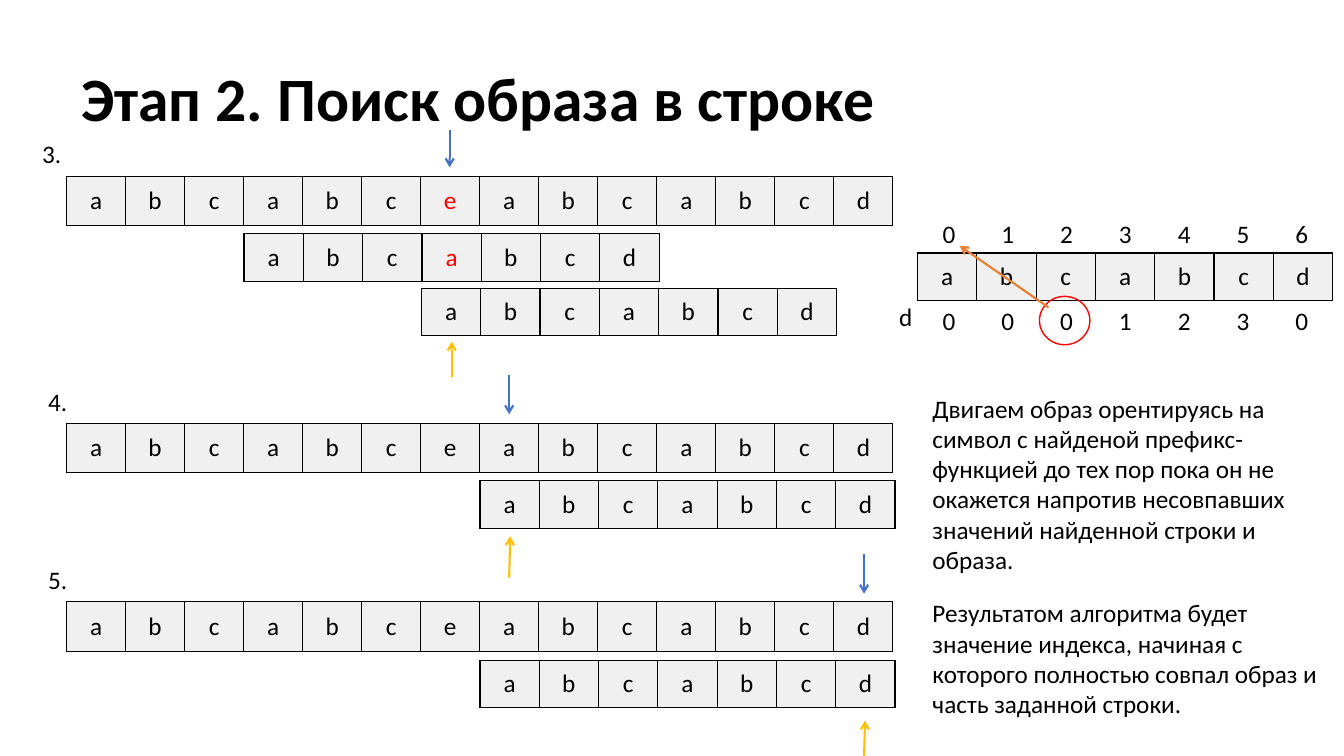
from pptx import Presentation
from pptx.dml.color import RGBColor
from pptx.enum.shapes import MSO_CONNECTOR, MSO_SHAPE
from pptx.enum.text import MSO_ANCHOR, PP_ALIGN
from pptx.oxml.ns import qn
from pptx.util import Inches, Pt
from lxml import etree

LINE, OVAL = MSO_CONNECTOR.STRAIGHT, MSO_SHAPE.OVAL
TOP, MIDDLE = MSO_ANCHOR.TOP, MSO_ANCHOR.MIDDLE
CENTER = PP_ALIGN.CENTER

COLORS = {"text": "000000", "cell": "F0F0F0", "red": "FF0000",
          "blue": "4472C4", "yellow": "FFC000", "orange": "ED7D31"}
PATTERN = "abcabcd"
STRING = "abcabceabcabcd"
PREFIX = "0001230"


def rgb(name):
    return RGBColor.from_string(COLORS[name])


class SlideBuilder:
    """Draws styled elements on one slide."""

    def __init__(self, slide):
        self.shapes = slide.shapes
        self.font = {"name": "Calibri", "size": Pt(18), "bold": False}

    def add_run(self, p, text, color="text", **changes):
        r = p.add_run()
        r.text = text
        for name, value in {**self.font, **changes}.items():
            setattr(r.font, name, value)
        r.font.color.rgb = rgb(color)

    def text(self, text, x, y, w, h=0.4, wrap=False, anchor=TOP, spacing=1.0, **font):
        tf = self.shapes.add_textbox(*map(Inches, (x, y, w, h))).text_frame
        tf.word_wrap = wrap
        tf.vertical_anchor = anchor
        tf.paragraphs[0].line_spacing = spacing
        self.add_run(tf.paragraphs[0], text, **font)

    def cells(self, letters, x, y, w, h, red=None):
        frame = self.shapes.add_table(1, len(letters), *map(Inches, (x, y, w, h)))
        table = frame.table
        table.first_row = table.horz_banding = False
        for i, letter in enumerate(letters):
            table.columns[i].width = Inches(w / len(letters))
            cell = table.cell(0, i)
            cell.vertical_anchor = MIDDLE
            p = cell.text_frame.paragraphs[0]
            p.alignment = CENTER
            self.add_run(p, letter, "red" if i == red else "text")
            self.border(cell)
            cell.fill.solid()
            cell.fill.fore_color.rgb = rgb("cell")

    def border(self, cell):
        props = cell._tc.get_or_add_tcPr()
        for side in ("a:lnL", "a:lnR", "a:lnT", "a:lnB"):
            ln = etree.SubElement(props, qn(side), w=str(Pt(1)))
            fill = etree.SubElement(ln, qn("a:solidFill"))
            etree.SubElement(fill, qn("a:srgbClr"), val=COLORS["text"])

    def pattern(self, x, y, red=None):
        self.cells(PATTERN, x, y, 4.12, 0.47, red)

    def string(self, y, red=None):
        self.cells(STRING, 0.66, y, 8.2, 0.49, red)

    def arrow(self, x1, y1, x2, y2, color):
        sp = self.shapes.add_connector(LINE, *map(Inches, (x1, y1, x2, y2)))
        sp.line.color.rgb = rgb(color)
        sp.line.width = Pt(1.5)
        ln = sp.line._get_or_add_ln()
        etree.SubElement(ln, qn("a:tailEnd"), type="arrow")
        etree.SubElement(sp._element.spPr, qn("a:effectLst"))

    def ring(self, x, y, w, h, color):
        sp = self.shapes.add_shape(OVAL, *map(Inches, (x, y, w, h)))
        sp.shadow.inherit = False
        sp.fill.background()
        sp.line.color.rgb = rgb(color)
        sp.line.width = Pt(1)


def main():
    prs = Presentation()
    prs.slide_width, prs.slide_height = Inches(13.33), Inches(7.5)
    s = SlideBuilder(prs.slides.add_slide(prs.slide_layouts[6]))

    # Title
    s.text("Этап 2. Поиск образа в строке", 0.71, 0.28, 11.5, 1.45, wrap=True,
           anchor=MIDDLE, spacing=0.9, size=Pt(44), bold=True)

    # Prefix function: indices above the pattern, values below
    for i, value in enumerate(PREFIX):
        x = 9.25 + i * 3.5 / 6
        s.text(str(i), x, 2.12, 0.33)
        s.text(value, x, 2.98, 0.33)
    s.text("d", 8.82, 2.94, 0.33)
    s.pattern(9.1, 2.51)
    s.ring(10.31, 2.94, 0.5, 0.48, "red")
    s.arrow(10.4, 3.05, 9.52, 2.44, "orange")

    # Steps: label, label position, string top, mismatch index
    for label, x, y, string_y, red in (("3.", 0.32, 1.32, 1.75, 6),
                                       ("4.", 0.38, 3.78, 4.2, None),
                                       ("5.", 0.38, 5.55, 5.97, None)):
        s.text(label, x, y, 0.39)
        s.string(string_y, red)

    # Pattern positions under the strings
    for x, y, red in ((2.42, 2.32, 3), (4.18, 2.86, None),
                      (4.76, 4.77, None), (4.76, 6.55, None)):
        s.pattern(x, y, red)

    # Pointers into the string (blue) and the pattern (yellow)
    for x1, y1, x2, y2, color in ((4.46, 1.29, 4.46, 1.66, "blue"),
                                  (4.48, 3.74, 4.48, 3.39, "yellow"),
                                  (5.05, 3.72, 5.05, 4.11, "blue"),
                                  (5.05, 5.73, 5.06, 5.32, "yellow"),
                                  (8.57, 5.5, 8.57, 5.89, "blue"),
                                  (8.57, 7.5, 8.58, 7.15, "yellow")):
        s.arrow(x1, y1, x2, y2, color)

    # Explanation
    s.text("Двигаем образ орентируясь на символ с найденой префикс-функцией "
           "до тех пор пока он не окажется напротив несовпавших значений "
           "найденной строки и образа.", 9.15, 3.85, 3.93, 1.92, wrap=True)
    s.text("Результатом алгоритма будет значение индекса, начиная с которого "
           "полностью совпал образ и часть заданной строки.",
           9.15, 5.88, 4.12, 1.31, wrap=True)

    prs.save("out.pptx")


if __name__ == "__main__":
    main()
